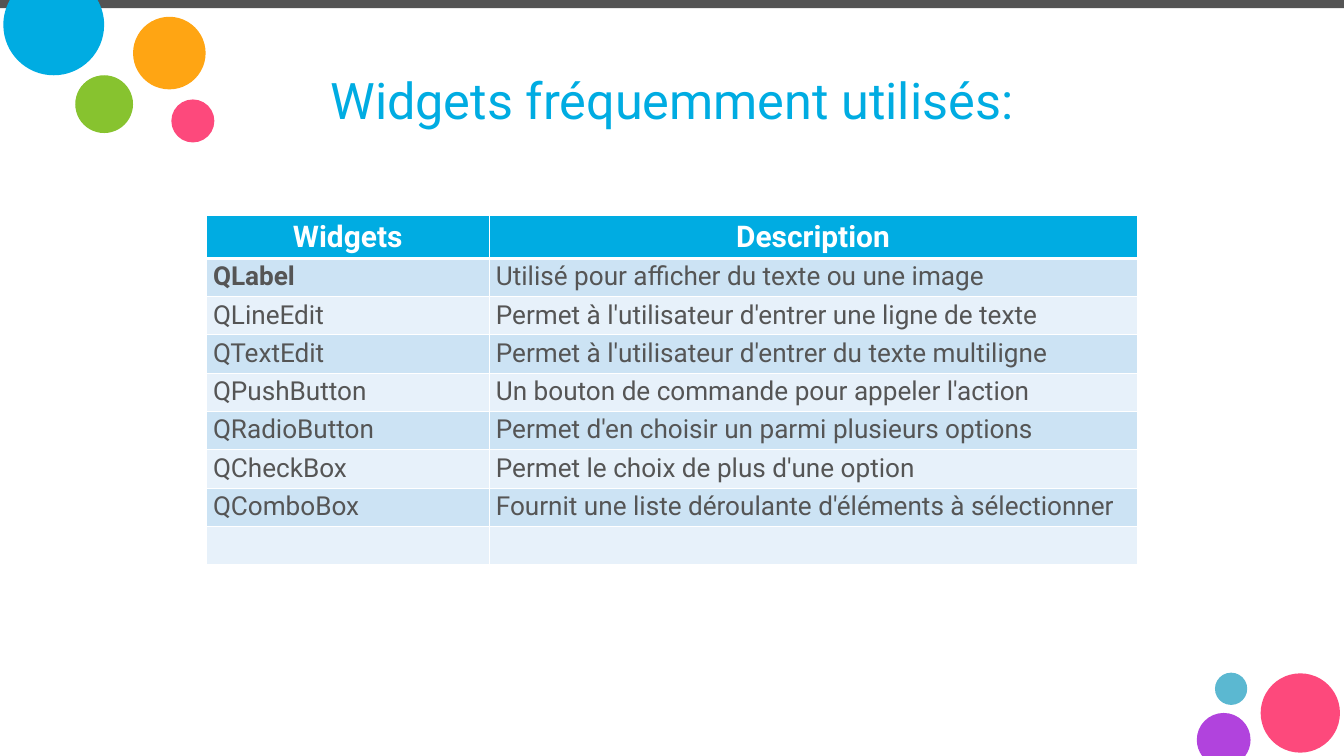
from math import asin, cos, pi, sin, tan

from lxml.etree import SubElement
from pptx import Presentation
from pptx.dml.color import RGBColor
from pptx.enum.shapes import MSO_SHAPE as Shape
from pptx.enum.text import MSO_ANCHOR as Anchor, PP_ALIGN as Align
from pptx.oxml.ns import qn
from pptx.util import Inches, Pt

# The slide is a grid of square cells, one inch wide.
COLS, ROWS = 20, 11.25
FONT = "Roboto"
BLUE, PINK, WHITE = "00ACE2", "FD497C", "FFFFFF"
DARK, GREY = "545454", "555555"
BANDS = "CCE3F4", "E7F1FA"

# Centre column, centre row, radius, colour
DOTS = [
    (2.87, 1.8, 0.32, PINK),
    (0.8, 0.37, 0.75, BLUE),
    (1.55, 1.55, 0.43, "87C32F"),
    (2.52, 0.79, 0.54, "FFA513"),
    (18.32, 10.25, 0.24, "5BB8D1"),
    (19.35, 10.61, 0.59, PINK),
    (18.21, 11.01, 0.4, "B143DD"),
]

WIDGETS = [
    ("Widgets", "Description"),
    ("QLabel", "Utilisé pour afficher du texte ou une image"),
    ("QLineEdit", "Permet à l'utilisateur d'entrer une ligne de texte"),
    ("QTextEdit", "Permet à l'utilisateur d'entrer du texte multiligne"),
    ("QPushButton", "Un bouton de commande pour appeler l'action"),
    ("QRadioButton", "Permet d'en choisir un parmi plusieurs options"),
    ("QCheckBox", "Permet le choix de plus d'une option"),
    ("QComboBox", "Fournit une liste déroulante d'éléments à sélectionner"),
    ("", ""),
]


def grid(*cells):
    return [Inches(n) for n in cells]


def paint(fill, color):
    fill.solid()
    fill.fore_color.rgb = RGBColor.from_string(color)


def finish(shape, color):
    """Give a shape a flat fill with no line and no shadow."""
    paint(shape.fill, color)
    shape.line.fill.background()
    shape.shadow.inherit = False


def write(frame, text, size, color, bold=False, align=Align.LEFT):
    frame.text = text
    para = frame.paragraphs[0]
    para.alignment = align
    for run in para.runs:
        font = run.font
        font.name, font.size, font.bold = FONT, Pt(size), bold
        paint(font.fill, color)


def add_dot(shapes, x, y, r, color):
    if y - r < 0:
        dot = cut_dot(shapes, x, y, r, y, 1)
    elif y + r > ROWS:
        dot = cut_dot(shapes, x, y, r, ROWS - y, -1)
    else:
        box = grid(x - r, y - r, 2 * r, 2 * r)
        dot = shapes.add_shape(Shape.OVAL, *box)
    finish(dot, color)


def cut_dot(shapes, x, y, r, gap, side):
    """Draw a disc cut flat at gap from its centre; side 1 keeps the low part."""
    cut = asin(gap / r)
    turns = [-cut, 0, pi / 2, pi, pi + cut]

    def spot(turn, pull=0):
        """Point on the rim, moved along the tangent by pull radii."""
        return grid(
            x + r * (cos(turn) - pull * sin(turn)),
            y + side * r * (sin(turn) + pull * cos(turn)),
        )

    first, *rest = [spot(turn) for turn in turns]
    outline = shapes.build_freeform(*first, scale=1)
    outline.add_line_segments(rest)
    dot = outline.convert_to_shape()
    # Bend each straight segment into a quarter arc or less.
    lines = list(dot._element.iter(qn("a:lnTo")))
    for line, a, b in zip(lines, turns, turns[1:]):
        pull = 4 / 3 * tan((b - a) / 4)
        line.tag = qn("a:cubicBezTo")
        end = line[0]
        for px, py in (spot(a, pull), spot(b, -pull)):
            knob = SubElement(line, qn("a:pt"))
            knob.set("x", str(px - dot.left))
            knob.set("y", str(py - dot.top))
        line.append(end)
    return dot


def add_title(shapes, text):
    box = shapes.add_textbox(*grid(2.61, 0.97, COLS - 2 * 2.61, 1.01))
    frame = box.text_frame
    frame.word_wrap = True
    frame.vertical_anchor = Anchor.MIDDLE
    write(frame, text, 54, BLUE, align=Align.CENTER)


def add_edges(cell, **widths):
    """Rule the cell's sides in white, widths in points."""
    props = cell._tc.get_or_add_tcPr()
    for side, width in widths.items():
        line = SubElement(props, qn(f"a:ln{side}"), w=str(Pt(width)))
        solid = SubElement(line, qn("a:solidFill"))
        SubElement(solid, qn("a:srgbClr"), val=WHITE)


def add_grid(shapes, rows):
    widths, head, body = (4.21, 9.64), 0.62, 0.57
    high = head + body * (len(rows) - 1)
    box = grid(3.07, 3.21, sum(widths), high)
    table = shapes.add_table(len(rows), len(widths), *box).table
    for col, width in zip(table.columns, widths):
        col.width = Inches(width)
    for i, texts in enumerate(rows):
        table.rows[i].height = Inches(body if i else head)
        for j, text in enumerate(texts):
            cell = table.cell(i, j)
            add_edges(cell, L=1, R=1, T=1, B=1 if i else 3)
            paint(cell.fill, BANDS[(i - 1) % 2] if i else BLUE)
            if i:
                write(cell.text_frame, text, 28, GREY, text == "QLabel")
            else:
                cell.vertical_anchor = Anchor.MIDDLE
                write(cell.text_frame, text, 32, WHITE, True, Align.CENTER)


def main():
    deck = Presentation()
    deck.slide_width, deck.slide_height = grid(COLS, ROWS)
    shapes = deck.slides.add_slide(deck.slide_layouts[6]).shapes
    bar = shapes.add_shape(Shape.RECTANGLE, *grid(0, 0, COLS, 0.12))
    finish(bar, DARK)
    for dot in DOTS:
        add_dot(shapes, *dot)
    add_title(shapes, "Widgets fréquemment utilisés:")
    add_grid(shapes, WIDGETS)
    deck.save("out.pptx")


if __name__ == "__main__":
    main()
